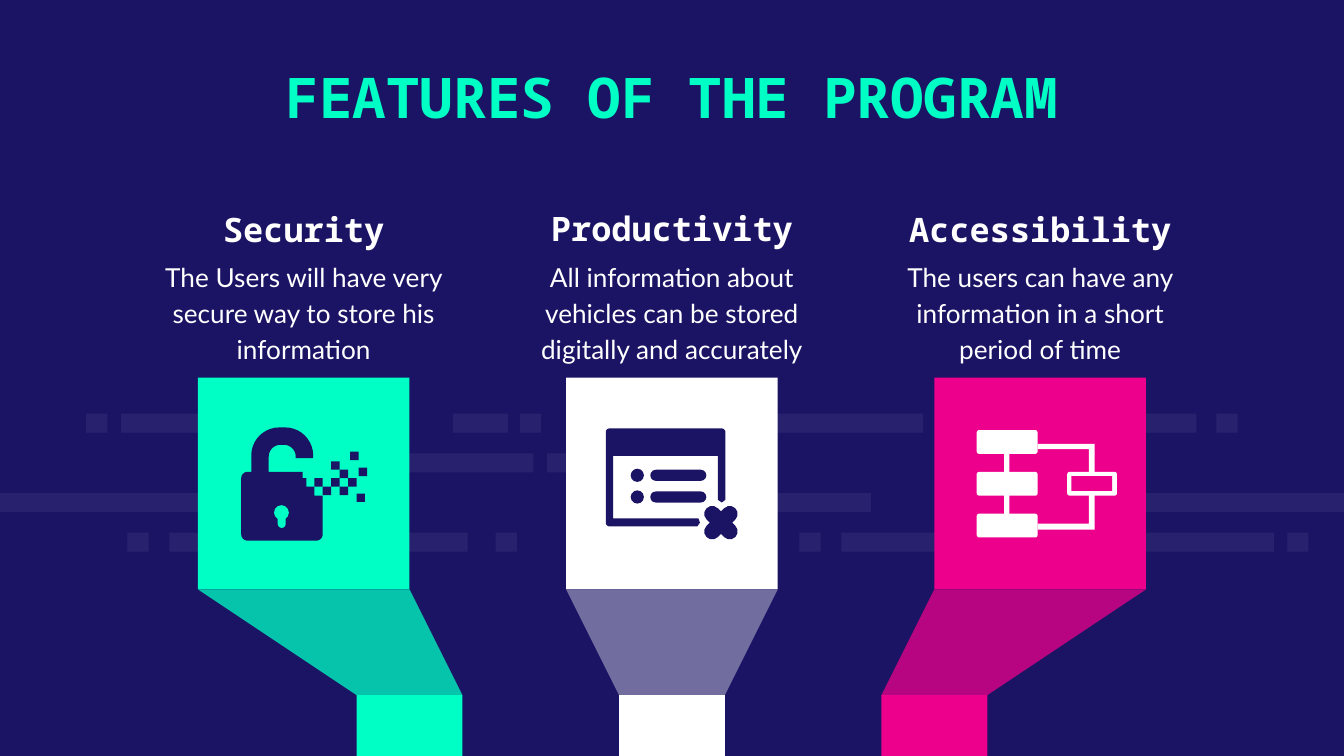
import lxml.etree
import pptx
import pptx.dml.color
import pptx.enum.shapes
import pptx.enum.text
import pptx.oxml.ns
import pptx.util

Cm = pptx.util.Cm
SHAPE = pptx.enum.shapes.MSO_SHAPE
ANCHOR = pptx.enum.text.MSO_ANCHOR

COLORS = {"navy": "1B1464", "mint": "00FFC5", "white": "FFFFFF", "pink": "EC008C"}
HEADING_FONT = "Noto Sans Mono"
BODY_FONT = "Lato"

# Column geometry in cm
SLIDE_WIDTH, SLIDE_HEIGHT = 25.4, 14.29
COLUMN_PITCH = 6.96
TEXT_WIDTH = 5.74
TILE_TOP, TILE_SIZE = 7.14, 4
FUNNEL_TOP, STEM_TOP, STEM_WIDTH = 11.14, 13.14, 2

# Heading, heading top, body, color, horizontal shift of the stem
COLUMNS = [
    ("Security", 3.53, "The Users will have very secure way to store his information",
     "mint", 2),
    ("Productivity", 3.51, "All information about vehicles can be stored digitally and accurately",
     "white", 0),
    ("Accessibility", 3.53, "The users can have any information in a short period of time",
     "pink", -2),
]

# Left and width of the background dashes, row by row
DASH_ROWS = [
    [(1.63, 0.4), (2.29, 3.71), (8.56, 1.04), (9.83, 0.4), (14.25, 3.2), (19.41, 3.2), (22.99, 0.4)],
    [(7.59, 2.49), (10.34, 1.02)],
    [(0, 3.76), (12.7, 3.76), (21.64, 3.76)],
    [(2.41, 0.4), (3.2, 5.64), (9.37, 0.4), (15.11, 0.4), (15.9, 8.18), (24.33, 0.4)],
]

# Icon outlines: x, y and an optional corner radius
PADLOCK = [
    (4.75, 8.08, 0.53), (5.92, 8.08, 0.53), (5.92, 8.66), (5.59, 8.66), (5.59, 8.41, 0.22),
    (5.08, 8.41, 0.22), (5.08, 8.92), (5.72, 8.92), (5.72, 9.04), (5.79, 9.04), (5.79, 9.2),
    (5.94, 9.2), (5.94, 9.37), (6.1, 9.37), (6.1, 10.22, 0.12), (4.56, 10.22, 0.12),
    (4.56, 8.92, 0.12), (4.75, 8.92),
]
PADLOCK_PIXELS = [
    (6.1, 9.2), (6.42, 8.88), (6.26, 9.04), (6.26, 8.72), (5.94, 9.04), (6.42, 9.2),
    (6.74, 9.33), (6.58, 9.04), (6.78, 8.84), (6.62, 8.54),
]
WINDOW = [
    (11.45, 8.1, 0.07), (13.71, 8.1, 0.07), (13.71, 9.45), (13.64, 9.5), (13.57, 9.45),
    (13.57, 8.62), (11.59, 8.62), (11.59, 9.8), (13.2, 9.8), (13.23, 9.88), (13.18, 9.95),
    (11.45, 9.95, 0.07),
]
BRACKET = [
    (19.61, 8.39), (20.69, 8.39), (20.69, 10.01), (19.61, 10.01),
    (19.61, 9.9), (20.58, 9.9), (20.58, 8.49), (19.61, 8.49),
]


def rgb(color):
    return pptx.dml.color.RGBColor.from_string(COLORS[color])


def paint(shape, color, opacity=100):
    shape.shadow.inherit = False
    shape.line.fill.background()
    shape.fill.solid()
    shape.fill.fore_color.rgb = rgb(color)
    if opacity < 100:
        qn = pptx.oxml.ns.qn
        color_element = shape.element.spPr.find(qn("a:solidFill"))[0]
        lxml.etree.SubElement(color_element, qn("a:alpha"), val=str(opacity * 1000))


def add_preset(slide, kind, left, top, width, height, color, opacity=100):
    shape = slide.shapes.add_shape(kind, Cm(left), Cm(top), Cm(width), Cm(height))
    paint(shape, color, opacity)
    return shape


def add_rounded(slide, left, top, width, height, color, roundness=0.5):
    shape = add_preset(slide, SHAPE.ROUNDED_RECTANGLE, left, top, width, height, color)
    shape.adjustments[0] = roundness
    return shape


def round_corner(before, corner, after, steps=10):
    """Return points along a circular corner between two edges."""
    x, y, radius = corner

    def toward(other, distance):
        dx, dy = other[0] - x, other[1] - y
        length = (dx * dx + dy * dy) ** 0.5
        return x + dx / length * distance, y + dy / length * distance

    handle = radius * 0.45
    controls = [toward(before, radius), toward(before, handle),
                toward(after, handle), toward(after, radius)]
    points = []
    for step in range(steps + 1):
        t = step / steps
        weights = [(1 - t) ** 3, 3 * t * (1 - t) ** 2, 3 * t * t * (1 - t), t ** 3]
        points.append(tuple(sum(w * c[axis] for w, c in zip(weights, controls)) for axis in (0, 1)))
    return points


def add_outline(slide, corners, color, opacity=100):
    points = []
    for index, corner in enumerate(corners):
        if len(corner) == 3:
            after = corners[(index + 1) % len(corners)]
            points += round_corner(corners[index - 1], corner, after)
        else:
            points.append(corner)
    points = [(Cm(x), Cm(y)) for x, y in points]
    builder = slide.shapes.build_freeform(*points[0])
    builder.add_line_segments(points[1:], close=True)
    paint(builder.convert_to_shape(), color, opacity)


def set_text(shape, text, font, size, color, bold=False, anchor=ANCHOR.TOP,
             top_inset=0.25, bottom_inset=0.25, line_spacing=1.0):
    frame = shape.text_frame
    frame.text = text
    frame.word_wrap = True
    frame.auto_size = pptx.enum.text.MSO_AUTO_SIZE.NONE
    frame.vertical_anchor = anchor
    frame.margin_left = frame.margin_right = Cm(0.25)
    frame.margin_top, frame.margin_bottom = Cm(top_inset), Cm(bottom_inset)
    paragraph = frame.paragraphs[0]
    paragraph.alignment = pptx.enum.text.PP_ALIGN.CENTER
    paragraph.line_spacing = line_spacing
    run_font = paragraph.runs[0].font
    run_font.name, run_font.size, run_font.bold = font, pptx.util.Pt(size), bold
    run_font.color.rgb = rgb(color)


def add_title(slide, text):
    title = slide.shapes.title
    title.left, title.top, title.width, title.height = Cm(3.56), Cm(0.94), Cm(18.28), Cm(1.85)
    set_text(title, text, HEADING_FONT, 30, "mint", bold=True)


def add_dashes(slide):
    for row, dashes in enumerate(DASH_ROWS):
        for left, width in dashes:
            add_preset(slide, SHAPE.RECTANGLE, left, 7.82 + row * 0.75, width, 0.36, "white", 6)


def add_column(slide, center, heading, heading_top, body, color, shift):
    # Heading and body
    left = Cm(center - TEXT_WIDTH / 2)
    box = slide.shapes.add_textbox(left, Cm(heading_top), Cm(TEXT_WIDTH), Cm(1.19))
    set_text(box, heading, HEADING_FONT, 18, "white", True, ANCHOR.BOTTOM, bottom_inset=0)
    box = slide.shapes.add_textbox(left, Cm(4.85), Cm(TEXT_WIDTH), Cm(2.11))
    set_text(box, body, BODY_FONT, 14, "white", top_inset=0, line_spacing=1.15)

    # Tile, funnel and stem
    tile_left = center - TILE_SIZE / 2
    stem_left = center + shift - STEM_WIDTH / 2
    funnel = [(tile_left, FUNNEL_TOP), (tile_left + TILE_SIZE, FUNNEL_TOP),
              (stem_left + STEM_WIDTH, STEM_TOP), (stem_left, STEM_TOP)]
    layers = [(color, 100), ("navy", 25)] if shift else [(color, 38)]
    for layer_color, opacity in layers:
        add_outline(slide, funnel, layer_color, opacity)
    add_preset(slide, SHAPE.RECTANGLE, tile_left, TILE_TOP, TILE_SIZE, TILE_SIZE, color)
    add_preset(slide, SHAPE.RECTANGLE, stem_left, STEM_TOP, STEM_WIDTH, SLIDE_HEIGHT - STEM_TOP, color)


def add_padlock_icon(slide):
    add_outline(slide, PADLOCK, "navy")
    add_preset(slide, SHAPE.OVAL, 5.18, 9.55, 0.28, 0.28, "mint")
    add_rounded(slide, 5.25, 9.65, 0.15, 0.33, "mint")
    for left, top in PADLOCK_PIXELS:
        add_preset(slide, SHAPE.RECTANGLE, left, top, 0.16, 0.16, "navy")


def add_window_icon(slide):
    add_outline(slide, WINDOW, "navy")
    for top in (8.86, 9.27):
        add_preset(slide, SHAPE.OVAL, 11.92, top, 0.25, 0.25, "navy")
        add_rounded(slide, 12.29, top + 0.02, 1.06, 0.21, "navy")
    for angle in (45, 135):
        add_rounded(slide, 13.24, 9.73, 0.77, 0.3, "navy").rotation = angle


def add_flowchart_icon(slide):
    add_preset(slide, SHAPE.RECTANGLE, 18.98, 8.3, 0.1, 1.6, "white")
    add_outline(slide, BRACKET, "white")
    for row in range(3):
        add_rounded(slide, 18.46, 8.13 + row * 0.79, 1.15, 0.45, "white", 0.1)
    add_rounded(slide, 20.17, 8.92, 0.94, 0.45, "white", 0.1)
    add_preset(slide, SHAPE.RECTANGLE, 20.25, 9, 0.77, 0.28, "pink")


def main():
    presentation = pptx.Presentation()
    presentation.slide_width, presentation.slide_height = Cm(SLIDE_WIDTH), Cm(SLIDE_HEIGHT)
    slide = presentation.slides.add_slide(presentation.slide_layouts[5])
    slide.background.fill.solid()
    slide.background.fill.fore_color.rgb = rgb("navy")

    add_dashes(slide)
    add_title(slide, "FEATURES OF THE PROGRAM")
    for index, column in enumerate(COLUMNS):
        add_column(slide, SLIDE_WIDTH / 2 + (index - 1) * COLUMN_PITCH, *column)
    add_padlock_icon(slide)
    add_window_icon(slide)
    add_flowchart_icon(slide)
    presentation.save("out.pptx")


if __name__ == "__main__":
    main()
